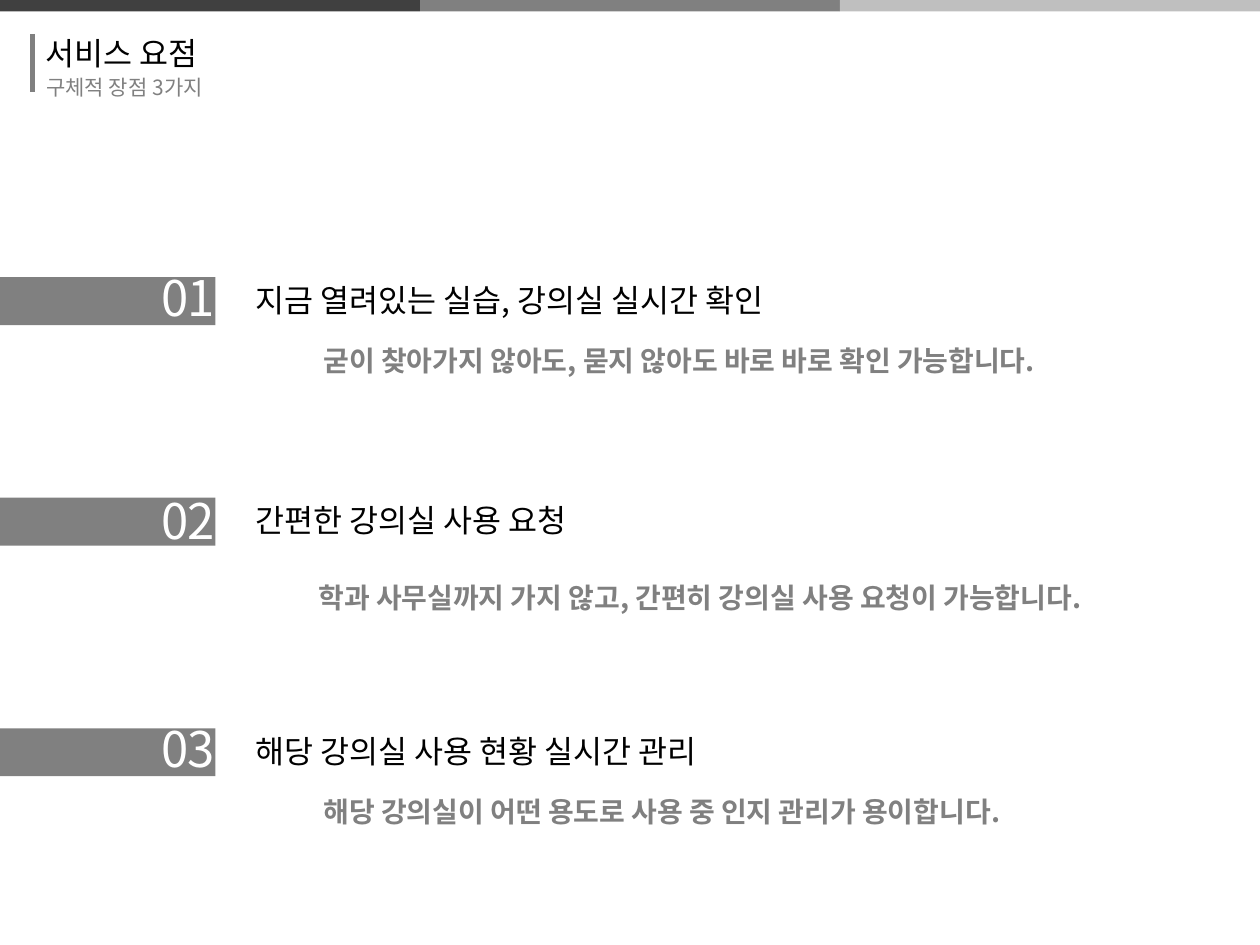
from pptx import Presentation
from pptx.dml.color import RGBColor
from pptx.enum.shapes import MSO_CONNECTOR as Line, MSO_SHAPE as Shape
from pptx.enum.text import MSO_ANCHOR as Anchor, PP_ALIGN as Align
from pptx.oxml.ns import qn
from pptx.util import Inches, Pt
from lxml.etree import SubElement

# Content
TITLE = "서비스 요점"
SUB = "구체적 장점 3가지"
BANDS = ["404040", "808080", "BFBFBF"]
# bar top, number top, heading, note, note left, note top
POINTS = [
    (2.2, 2.11, "지금 열려있는 실습, 강의실 실시간 확인",
     "굳이 찾아가지 않아도, 묻지 않아도 바로 바로 확인 가능합니다.", 2.47, 2.68),
    (3.95, 3.88, "간편한 강의실 사용 요청",
     "학과 사무실까지 가지 않고, 간편히 강의실 사용 요청이 가능합니다.", 2.43, 4.56),
    (5.78, 5.69, "해당 강의실 사용 현황 실시간 관리",
     "해당 강의실이 어떤 용도로 사용 중 인지 관리가 용이합니다.", 2.47, 6.26),
]
KR, JP = "Noto Sans CJK KR", "Noto Sans CJK JP"
GRAY, BLACK, WHITE = "808080", "000000", "FFFFFF"

deck = Presentation()
deck.slide_width, deck.slide_height = Inches(10), Inches(7.5)
slide = deck.slides.add_slide(deck.slide_layouts[5])
shapes = slide.shapes


def color(code):
    return RGBColor.from_string(code)


def block(x, y, w, h, code):
    box = shapes.add_shape(Shape.RECTANGLE, *map(Inches, (x, y, w, h)))
    box.shadow.inherit = False
    box.fill.solid()
    box.fill.fore_color.rgb = color(code)
    box.line.fill.background()


def style(box, text, size, code, face=KR, bold=False):
    """Fill a text shape and return its paragraph and font element."""
    frame = box.text_frame
    frame.word_wrap = True
    frame.vertical_anchor = Anchor.TOP
    para = frame.paragraphs[0]
    para.text = text
    para.alignment = Align.LEFT
    font = para.font
    font.size, font.bold, font.name = Pt(size), bold, face
    font.color.rgb = color(code)
    props = para._p.pPr.find(qn("a:defRPr"))
    SubElement(props, qn("a:ea")).set("typeface", face)
    return para, props


def label(x, y, w, h, *look, **more):
    box = shapes.add_textbox(*map(Inches, (x, y, w, h)))
    return box, *style(box, *look, **more)


# Top bands
step = 10 / len(BANDS)
for i, code in enumerate(BANDS):
    block(i * step, 0, step, 0.09, code)

# Title, subtitle and the rule beside them
head = shapes.title
head.left, head.top, head.width, head.height = map(Inches, (0.26, 0.22, 4.25, 0.4))
style(head, TITLE, 18, BLACK)
label(0.27, 0.54, 3.93, 0.3, SUB, 12, GRAY)
rule = shapes.add_connector(Line.STRAIGHT, *map(Inches, (0.26, 0.27, 0.26, 0.73)))
rule.line.color.rgb = color(GRAY)
rule.line.width = Pt(3.14)
SubElement(rule._element.spPr, qn("a:effectLst"))

# Numbered points
for n, (top, num, name, note, left, low) in enumerate(POINTS, 1):
    block(0, top, 1.71, 0.38, GRAY)
    box, para, props = label(1.28, num, 0.46, 0.49, f"{n:02}", 28, WHITE, face=JP)
    frame = box.text_frame
    frame.margin_left = frame.margin_right = frame.margin_bottom = 0
    frame.margin_top = Inches(0.01)
    para.space_before = Pt(0.9)
    props.set("spc", "-30")
    label(1.93, top - 0.02, 5.8, 0.4, name, 18, BLACK)
    label(left, low, 7.25, 0.37, note, 16, GRAY, bold=True)

deck.save("out.pptx")
